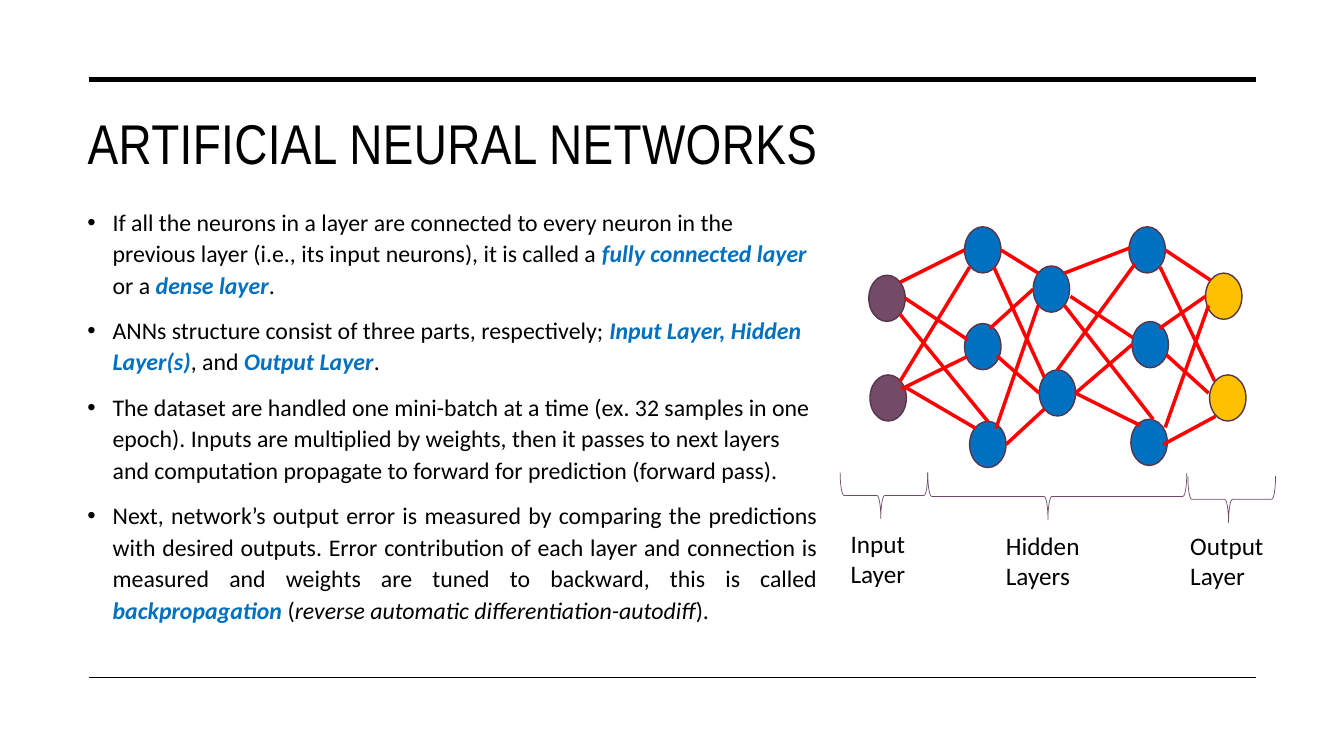
from pptx import Presentation
from pptx.util import Pt
from pptx.dml.color import RGBColor
from pptx.enum.shapes import MSO_SHAPE, MSO_CONNECTOR
from pptx.enum.text import MSO_ANCHOR, PP_ALIGN
from lxml import etree

BLACK, BLUE, RED, PLUM, GOLD = "000000", "0070C0", "FF0000", "734B67", "FFC000"
A = "{http://schemas.openxmlformats.org/drawingml/2006/main}"


def rgb(color):
    return RGBColor.from_string(color)


def add_line(x1, y1, x2, y2, color, width):
    c = s.shapes.add_connector(MSO_CONNECTOR.STRAIGHT, Pt(x1), Pt(y1), Pt(x2), Pt(y2))
    c.line.color.rgb = rgb(color)
    c.line.width = Pt(width)
    etree.SubElement(c._element.spPr, A + "effectLst")


prs = Presentation()
prs.slide_width, prs.slide_height = Pt(960), Pt(540)
s = prs.slides.add_slide(prs.slide_layouts[5])

# Rules above and below the content
add_line(63.4, 56.9, 897, 56.9, BLACK, 3.5)
add_line(63.4, 483.8, 897, 483.8, BLACK, 1)

# Title
title = s.shapes.title
title.left, title.top, title.width, title.height = Pt(55.4), Pt(71.3), Pt(729.4), Pt(70.6)
tf = title.text_frame
tf.text = "ARTIFICIAL NEURAL NETWORKS"
tf.vertical_anchor = MSO_ANCHOR.TOP
tf.margin_top = Pt(6)
p = tf.paragraphs[0]
p.alignment = PP_ALIGN.LEFT
p.font.name, p.font.size = "Arial Narrow", Pt(40)
p.font.color.rgb = rgb(BLACK)
p.runs[0]._r.get_or_add_rPr().set("spc", "30")

# Bullets: each run is (text, style), with "key" for blue bold italic
bullets = [
    [("If all the neurons in a layer are connected to every neuron in the previous layer "
      "(i.e., its input neurons), it is called a ", ""),
     ("fully connected layer ", "key"), ("or a ", ""), ("dense layer", "key"), (".", "")],
    [("ANNs structure consist of three parts, respectively; ", ""),
     ("Input Layer, Hidden Layer(s)", "key"), (", and ", ""), ("Output Layer", "key"), (".", "")],
    [("The dataset are handled one mini-batch at a time (ex. 32 samples in one epoch). "
      "Inputs are multiplied by weights, then it passes to next layers and computation "
      "propagate to forward for prediction (forward pass).", "")],
    [("Next, network’s output error is measured by comparing the predictions with desired "
      "outputs. Error contribution of each layer and connection is measured and weights are "
      "tuned to backward, this is called ", ""),
     ("backpropagation", "key"), (" (", ""),
     ("reverse automatic differentiation-autodiff", "italic"), (").", "")],
]
tf = s.shapes.add_textbox(Pt(55.4), Pt(142.6), Pt(535.7), Pt(333.4)).text_frame
tf.word_wrap = True
for i, bullet in enumerate(bullets):
    p = tf.paragraphs[0] if i == 0 else tf.add_paragraph()
    p.line_spacing, p.space_before = 1.1, Pt(10)
    p.font.name, p.font.size = "Calibri", Pt(17)
    pPr = p._p.get_or_add_pPr()
    pPr.set("marL", str(Pt(18)))
    pPr.set("indent", str(Pt(-18)))
    bu_font = etree.Element(A + "buFont", typeface="Arial")
    bu_char = etree.Element(A + "buChar", char="•")
    pPr.find(A + "defRPr").addprevious(bu_font)
    bu_font.addnext(bu_char)
    for text, style in bullet:
        r = p.add_run()
        r.text = text
        r.font.color.rgb = rgb(BLUE if style == "key" else BLACK)
        r.font.bold = style == "key"
        r.font.italic = style != ""
p.alignment = PP_ALIGN.JUSTIFY

# Neurons, layer by layer
layers = [
    (PLUM, [(620.6, 196.6), (621.4, 267.8)]),
    (BLUE, [(689, 162), (689, 231.1), (692.6, 301)]),
    (BLUE, [(738, 190), (742.3, 264.2)]),
    (BLUE, [(806.4, 162), (808.6, 229.7), (807.8, 299.5)]),
    (GOLD, [(861.1, 195.1), (864, 267.8)]),
]
for color, neurons in layers:
    for x, y in neurons:
        sp = s.shapes.add_shape(MSO_SHAPE.OVAL, Pt(x), Pt(y), Pt(26), Pt(33))
        sp.shadow.inherit = False
        sp.fill.solid()
        sp.fill.fore_color.rgb = rgb(color)
        sp.line.color.rgb = rgb("55374C")
        sp.line.width = Pt(1)

# Connections between neighbouring layers
connections = [
    # input to first hidden layer
    (643, 201.6, 689, 178.6), (646.6, 213.1, 691.2, 242.6), (643, 224.6, 705.6, 301),
    (643.7, 277.9, 690.5, 254.9), (646.6, 276.5, 697, 306), (643, 272.2, 692.6, 190.8),
    # first to second hidden layer
    (707, 234.7, 738, 206.6), (711.4, 306, 741.6, 218.2), (715, 178.6, 741.6, 195.1),
    (709.9, 190.8, 745.9, 269.3), (712.1, 254.2, 742.3, 280.8), (718.6, 317.5, 745.9, 292.3),
    # second to third hidden layer
    (760.3, 195.1, 807.1, 177.1), (764.6, 211.7, 809.3, 241.2), (760.3, 218.2, 823.7, 299.5),
    (768.2, 280.8, 808.6, 246.2), (768.2, 280.8, 814.3, 303.8), (755.3, 264.2, 810.7, 188.6),
    # third hidden layer to output
    (828, 234.7, 861.1, 211.7), (832.3, 305.3, 863.3, 218.2), (832.3, 178.6, 864.7, 200.2),
    (828.7, 190.8, 867.6, 272.2), (833, 253.4, 863.3, 280.8), (830.9, 317.5, 868.3, 297.4),
]
for ends in connections:
    add_line(*ends, RED, 2.5)

# Braces, turned to point down, and their labels
groups = [
    # label, brace left, top, length, label left, top, width
    ("Input Layer", 614.9, 322.6, 62.6, 600.5, 373.7, 62.6),
    ("Output Layer", 863.3, 325.4, 62.6, 843.1, 375.1, 69.8),
    ("Hidden Layers", 738.7, 262.1, 185, 711.4, 375.1, 88.6),
]
for label, x, y, length, label_x, label_y, label_w in groups:
    sp = s.shapes.add_shape(MSO_SHAPE.LEFT_BRACE, Pt(x), Pt(y), Pt(33.1), Pt(length))
    sp.rotation = 270
    sp.adjustments[0], sp.adjustments[1] = 0.083, 0.464
    sp.shadow.inherit = False
    sp.fill.background()
    sp.line.color.rgb = rgb(PLUM)
    sp.line.width = Pt(0.5)

    tf = s.shapes.add_textbox(Pt(label_x), Pt(label_y), Pt(label_w), Pt(51)).text_frame
    tf.word_wrap = True
    tf.text = label
    p = tf.paragraphs[0]
    p.font.name, p.font.size = "Calibri", Pt(18)
    p.font.color.rgb = rgb(BLACK)

prs.save("out.pptx")
